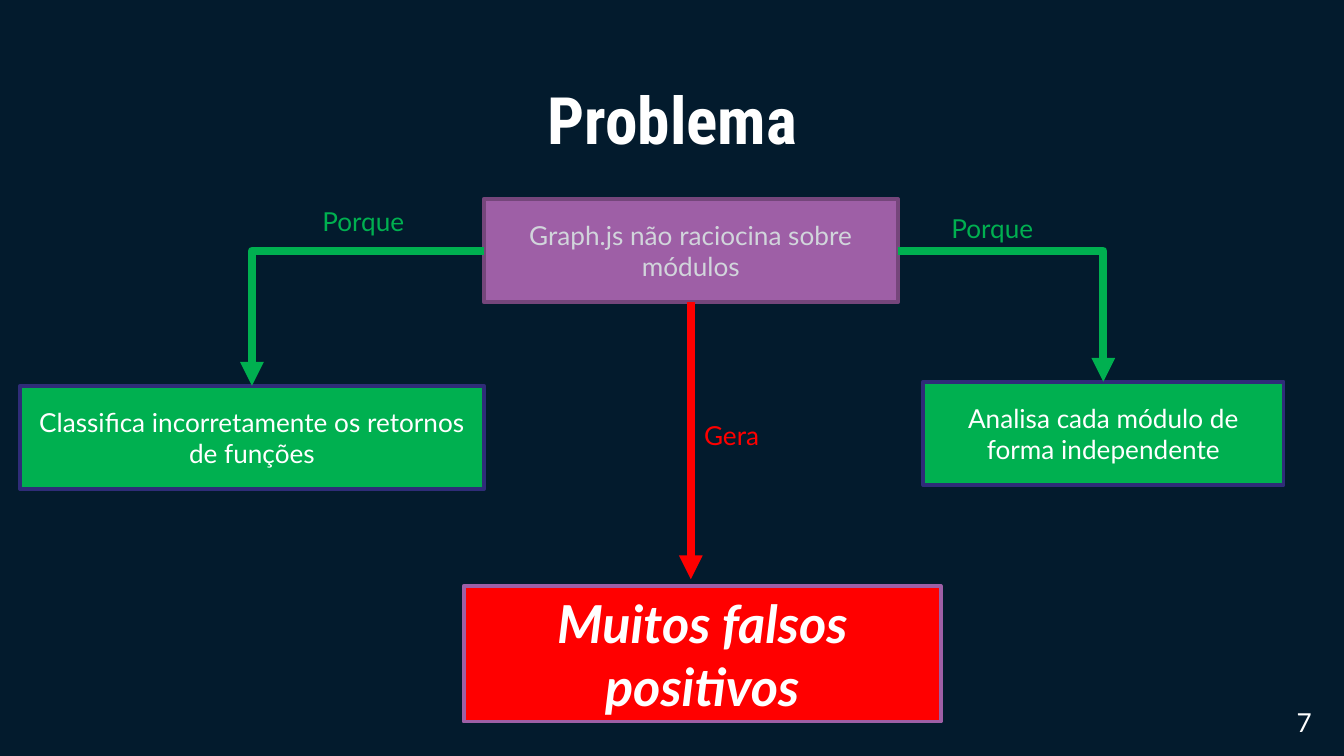
from lxml.etree import SubElement
from pptx import Presentation
from pptx.dml.color import RGBColor
from pptx.enum.shapes import MSO_CONNECTOR, MSO_SHAPE
from pptx.enum.text import MSO_ANCHOR, MSO_AUTO_SIZE, PP_ALIGN
from pptx.oxml.ns import qn
from pptx.util import Inches, Pt

NAVY = RGBColor(0x03, 0x1B, 0x2D)
WHITE = RGBColor(0xFF, 0xFF, 0xFF)
GREY = RGBColor(0xD1, 0xD5, 0xDB)
PURPLE = RGBColor(0x9E, 0x5F, 0xA6)
PLUM = RGBColor(0x75, 0x46, 0x7B)
INDIGO = RGBColor(0x2F, 0x2C, 0x78)
GREEN = RGBColor(0x00, 0xB0, 0x50)
RED = RGBColor(0xFF, 0x00, 0x00)
TOP, LEFT, BOTTOM, RIGHT = range(4)


def write(shape, text, size, color, font="Lato", align=PP_ALIGN.CENTER, bold=None, italic=None):
    """Set the text of a shape as one formatted paragraph."""
    shape.text_frame.text = text
    shape.text_frame.word_wrap = True
    paragraph = shape.text_frame.paragraphs[0]
    paragraph.alignment = align
    style = paragraph.runs[0].font
    style.name, style.size = font, Pt(size)
    style.bold, style.italic = bold, italic
    style.color.rgb = color


def add_title(page, text, left, top, width, height):
    """Move the title placeholder into its box and fill it."""
    title = page.shapes.title
    title.left, title.top = Inches(left), Inches(top)
    title.width, title.height = Inches(width), Inches(height)
    write(title, text, 35, WHITE, font="Roboto Condensed", bold=True)
    frame = title.text_frame
    frame.auto_size = MSO_AUTO_SIZE.NONE
    frame.vertical_anchor = MSO_ANCHOR.TOP
    frame.margin_left = frame.margin_right = Inches(0.1)
    frame.margin_top = frame.margin_bottom = Inches(0.1)


def add_box(page, text, left, top, width, height, fill, line, color=WHITE, size=14,
            kind=MSO_SHAPE.FLOWCHART_PROCESS, emphasis=None):
    """Add a filled box with centred text."""
    box = page.shapes.add_shape(kind, Inches(left), Inches(top), Inches(width), Inches(height))
    box.shadow.inherit = False
    box.fill.solid()
    box.fill.fore_color.rgb = fill
    box.line.color.rgb = line
    box.line.width = Pt(2)
    write(box, text, size, color, bold=emphasis, italic=emphasis)
    box.text_frame.vertical_anchor = MSO_ANCHOR.MIDDLE
    return box


def add_label(page, text, left, top, width, color):
    """Add a one-line label aligned left."""
    label = page.shapes.add_textbox(Inches(left), Inches(top), Inches(width), Inches(0.34))
    write(label, text, 14, color, align=PP_ALIGN.LEFT)


def add_arrow(page, kind, color, source, source_side, end_x, end_y):
    """Add an arrow from one side of a box to a point."""
    arrow = page.shapes.add_connector(kind, 0, 0, end_x, end_y)
    arrow.begin_connect(source, source_side)
    arrow.line.color.rgb = color
    arrow.line.width = Pt(4.25)
    properties = arrow._element.spPr
    SubElement(properties.find(qn("a:ln")), qn("a:tailEnd"), type="triangle")
    SubElement(properties, qn("a:effectLst"))
    return arrow


def add_bent_arrow(page, source, source_side, target):
    """Add a green one-bend arrow that ends on the top of the target."""
    arrow = add_arrow(page, MSO_CONNECTOR.ELBOW, GREEN, source, source_side,
                      target.left + target.width // 2, target.top)
    arrow.end_connect(target, TOP)
    arrow._element.spPr.find(qn("a:prstGeom")).set("prst", "bentConnector2")


def add_diagram(page, left, top):
    """Add the problem, its two causes and its result from the given corner."""
    problem = add_box(page, "Graph.js não raciocina sobre módulos",
                      left + 3.45, top, 3.08, 0.77, PURPLE, PLUM, GREY)
    modules = add_box(page, "Analisa cada módulo de forma independente",
                      left + 6.72, top + 1.36, 2.68, 0.77, GREEN, INDIGO)
    returns = add_box(page, "Classifica incorretamente os retornos de funções",
                      left, top + 1.39, 3.45, 0.77, GREEN, INDIGO)
    add_bent_arrow(page, problem, RIGHT, modules)
    add_box(page, "Muitos falsos positivos", left + 3.3, top + 2.88, 3.55, 1.01,
            RED, PURPLE, size=28, kind=MSO_SHAPE.RECTANGLE, emphasis=True)
    add_arrow(page, MSO_CONNECTOR.STRAIGHT, RED, problem, BOTTOM,
              problem.left + problem.width // 2, Inches(top + 2.83))
    add_label(page, "Porque", left + 2.15, top, 1.05, GREEN)
    add_label(page, "Porque", left + 6.83, top + 0.05, 1.05, GREEN)
    add_bent_arrow(page, problem, LEFT, returns)
    add_label(page, "Gera", left + 4.99, top + 1.59, 0.83, RED)


def main():
    """Build the slide and save the deck."""
    deck = Presentation()
    deck.slide_width = Inches(10)
    deck.slide_height = deck.slide_width * 9 // 16
    page = deck.slides.add_slide(deck.slide_layouts[5])
    page.background.fill.solid()
    page.background.fill.fore_color.rgb = NAVY
    add_title(page, "Problema", 0.79, 0.49, 8.43, 0.63)
    add_label(page, "7", 9.55, 5.21, 2.55, WHITE)
    add_diagram(page, 0.15, 1.48)
    deck.save("out.pptx")


if __name__ == "__main__":
    main()
